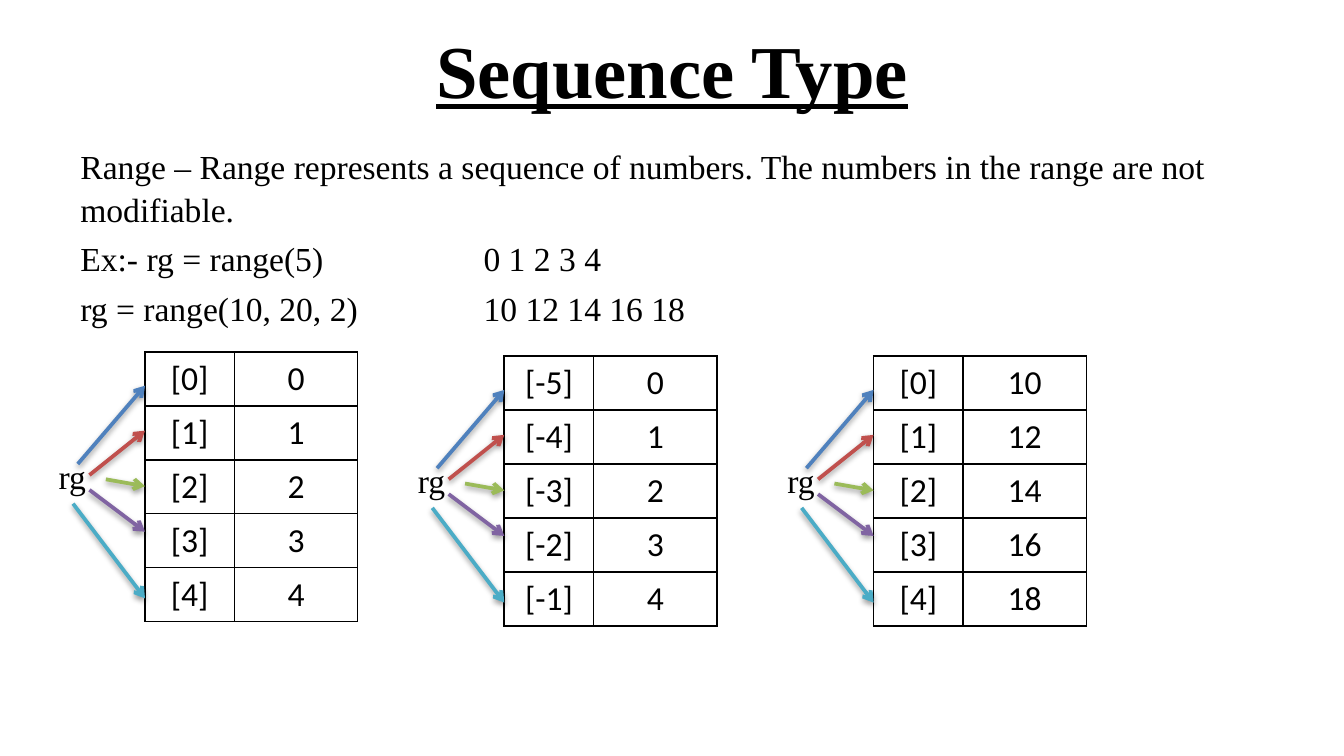
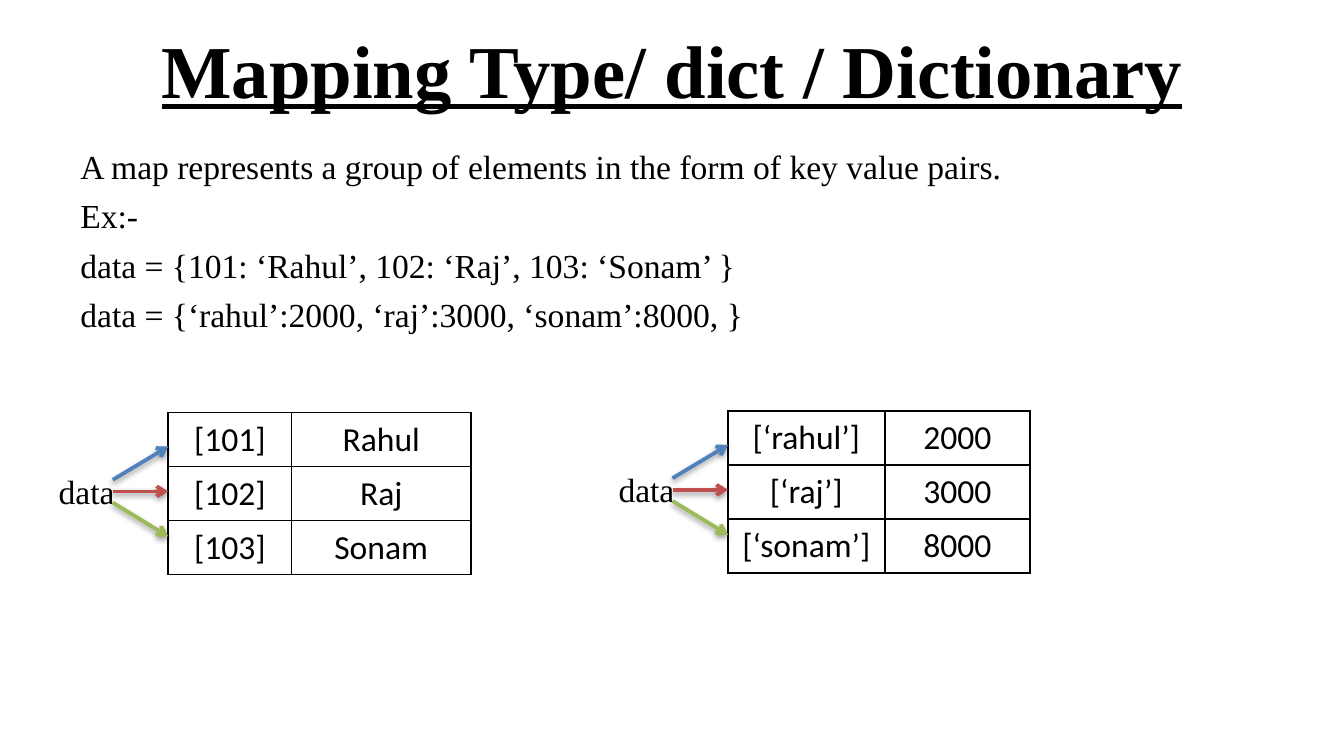
from lxml import etree
from pptx import Presentation
from pptx.dml.color import RGBColor
from pptx.enum import shapes, text
from pptx.oxml import ns
from pptx.util import Cm, Pt

SERIF, SANS = "Times New Roman", "Calibri"
BLACK = "000000"
ARROW_COLOURS = ["4F81BD", "C0504D", "9BBB59", "8064A2", "4BACC6"]
ROW_HEIGHT = 1.02
TAB_STOPS = [5.08, 7.62]

# Arrows: start x, start y and end y, in cm from the table's top left corner
RANGE_ARROWS = [(-1.27, 2.12, 0.64), (-1.05, 2.33, 1.49), (-0.74, 2.41, 2.54),
                (-1.05, 2.61, 3.4), (-1.36, 2.87, 4.66)]
DICT_ARROWS = [(-1.05, 1.27, 0.64), (-1.05, 1.49, 1.49), (-1.05, 1.7, 2.34)]

# Labels: x, y and width, in cm from the same corner
RANGE_LABEL = ("rg", -1.88, 1.84, 1.04)
DICT_LABEL = ("data", -2.32, 0.97, 1.57)


def colour(value):
    return RGBColor.from_string(value)


def child(parent, tag, **attributes):
    return etree.SubElement(parent, ns.qn(tag), attributes)


def add_run(paragraph, words, font=SERIF, size=18, emphasis=False):
    run = paragraph.add_run()
    run.text = words
    run.font.name = font
    run.font.size = Pt(size)
    run.font.bold = run.font.underline = emphasis
    run.font.color.rgb = colour(BLACK)


# Title and body
def add_title_slide(presentation, title, lines, body_height):
    slide = presentation.slides.add_slide(presentation.slide_layouts[5])
    placeholder = slide.shapes.title
    placeholder.left, placeholder.top = Cm(1.27), Cm(0.1)
    placeholder.width, placeholder.height = Cm(22.86), Cm(2.39)
    frame = placeholder.text_frame
    frame.vertical_anchor = text.MSO_ANCHOR.MIDDLE
    frame.auto_size = text.MSO_AUTO_SIZE.NONE
    frame.paragraphs[0].alignment = text.PP_ALIGN.CENTER
    add_run(frame.paragraphs[0], title, size=40, emphasis=True)

    body = slide.shapes.add_textbox(Cm(1.27), Cm(2.59), Cm(22.86), Cm(body_height))
    frame = body.text_frame
    frame.word_wrap = True
    for index, line in enumerate(lines):
        paragraph = frame.add_paragraph() if index else frame.paragraphs[0]
        paragraph.space_before = Pt(3.6 if index else 0)
        paragraph.line_spacing = 1.06
        if "\t" in line:
            tabs = child(paragraph._p.get_or_add_pPr(), "a:tabLst")
            for stop in TAB_STOPS:
                child(tabs, "a:tab", pos=str(Cm(stop)), algn="l")
        add_run(paragraph, line)
    return slide


# Bordered table
def add_grid(slide, left, top, widths, rows):
    table = slide.shapes.add_table(len(rows), len(widths), Cm(left), Cm(top),
                                   Cm(sum(widths)), Cm(ROW_HEIGHT * len(rows))).table
    table.first_row = table.horz_banding = False
    for column, width in zip(table.columns, widths):
        column.width = Cm(width)
    for row, values in zip(table.rows, rows):
        row.height = Cm(ROW_HEIGHT)
        for cell, value in zip(row.cells, values):
            properties = cell._tc.get_or_add_tcPr()
            for side in ("a:lnL", "a:lnR", "a:lnT", "a:lnB"):
                border = child(properties, side, w=str(Pt(1)))
                child(child(border, "a:solidFill"), "a:srgbClr", val=BLACK)
            cell.fill.background()
            paragraph = cell.text_frame.paragraphs[0]
            paragraph.alignment = text.PP_ALIGN.CENTER
            add_run(paragraph, value, SANS)


# Shadowed arrow
def add_arrow(slide, start, end, line_colour):
    arrow = slide.shapes.add_connector(
        shapes.MSO_CONNECTOR.STRAIGHT, *(Cm(value) for value in start + end))
    arrow.line.color.rgb = colour(line_colour)
    arrow.line.width = Pt(2)
    child(arrow.line._get_or_add_ln(), "a:tailEnd", type="arrow")
    effects = child(arrow._element.spPr, "a:effectLst")
    shadow = child(effects, "a:outerShdw", blurRad="40000", dist="20000",
                   dir="5400000", rotWithShape="0")
    child(child(shadow, "a:srgbClr", val=BLACK), "a:alpha", val="38000")


# Variable name with arrows to the cells of its table
def add_variable(slide, left, top, widths, rows, label, arrows):
    add_grid(slide, left, top, widths, rows)
    name, label_x, label_y, label_width = label
    box = slide.shapes.add_textbox(Cm(left + label_x), Cm(top + label_y),
                                   Cm(label_width), Cm(1.02))
    box.text_frame.word_wrap = False
    box.text_frame.auto_size = text.MSO_AUTO_SIZE.SHAPE_TO_FIT_TEXT
    add_run(box.text_frame.paragraphs[0], name)
    for (start_x, start_y, end_y), line_colour in zip(arrows, ARROW_COLOURS):
        add_arrow(slide, (left + start_x, top + start_y), (left, top + end_y), line_colour)


def build_range_slide(presentation):
    slide = add_title_slide(presentation, "Sequence Type", [
        "Range – Range represents a sequence of numbers. "
        "The numbers in the range are not modifiable.",
        "Ex:- rg = range(5) \t\t0 1 2 3 4",
        "rg = range(10, 20, 2)\t10 12 14 16 18",
    ], 3.94)
    for left, top, first_index, numbers in [
        (2.74, 6.65, 0, range(5)),
        (16.51, 6.73, 0, range(10, 20, 2)),
        (9.53, 6.73, -5, range(5)),
    ]:
        rows = [(f"[{index}]", str(number))
                for index, number in enumerate(numbers, first_index)]
        add_variable(slide, left, top, (1.69, 2.33), rows, RANGE_LABEL, RANGE_ARROWS)


def build_dict_slide(presentation):
    slide = add_title_slide(presentation, "Mapping Type/ dict / Dictionary", [
        "A map represents a group of elements in the form of key value pairs.",
        "Ex:-",
        "data = {101: ‘Rahul’, 102: ‘Raj’, 103: ‘Sonam’ }",
        "data = {‘rahul’:2000, ‘raj’:3000, ‘sonam’:8000, }",
    ], 4.78)
    for left, top, widths, rows in [
        (3.18, 7.8, (2.33, 3.39),
         [("[101]", "Rahul"), ("[102]", "Raj"), ("[103]", "Sonam")]),
        (13.76, 7.77, (2.96, 2.75),
         [("[‘rahul’]", "2000"), ("[‘raj’]", "3000"), ("[‘sonam’]", "8000")]),
    ]:
        add_variable(slide, left, top, widths, rows, DICT_LABEL, DICT_ARROWS)


def main():
    presentation = Presentation()
    presentation.slide_width, presentation.slide_height = Cm(25.4), Cm(14.29)
    build_range_slide(presentation)
    build_dict_slide(presentation)
    presentation.save("out.pptx")


if __name__ == "__main__":
    main()
